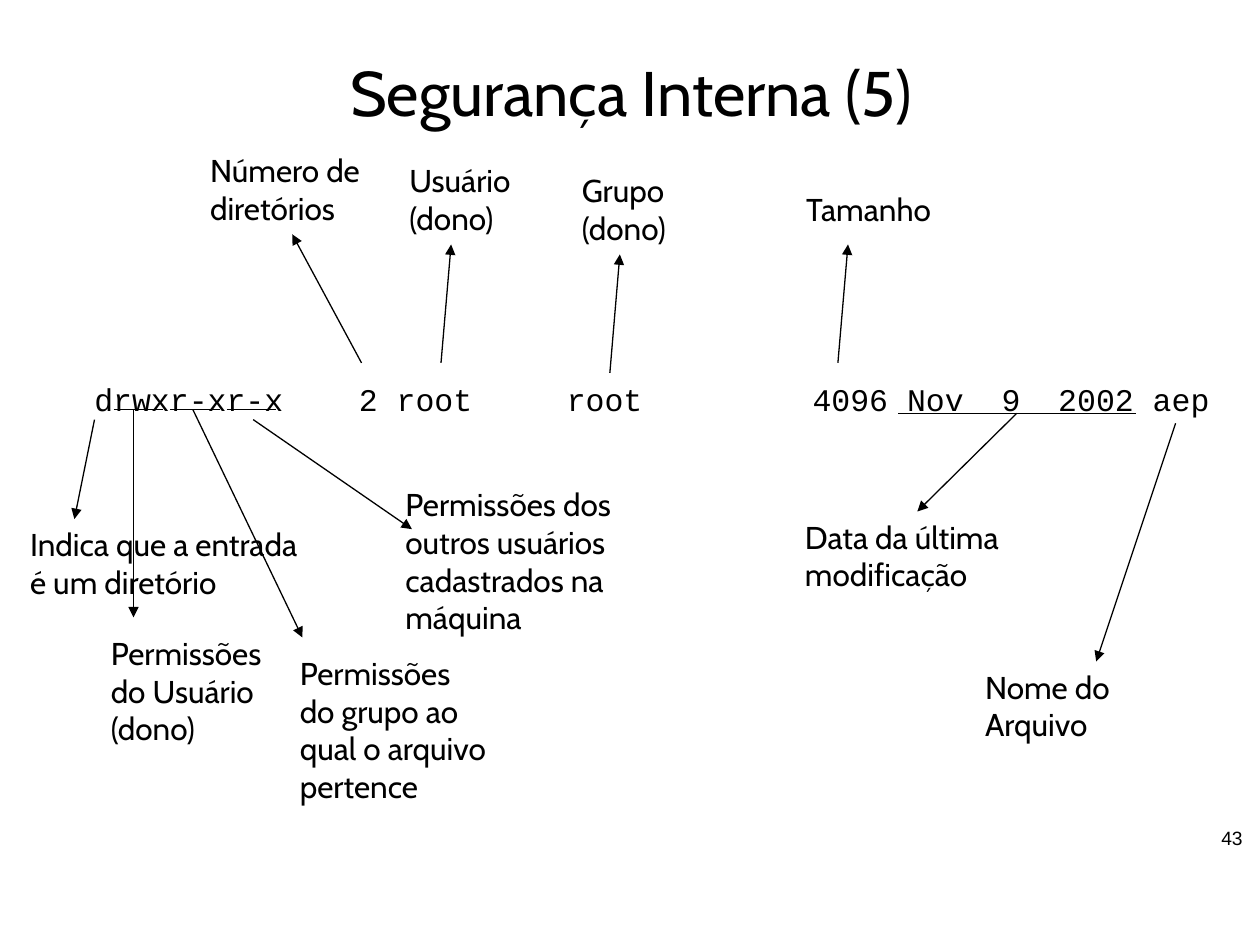
from lxml.etree import SubElement
from pptx import Presentation
from pptx.dml.color import RGBColor
from pptx.enum.shapes import MSO_CONNECTOR as CONN
from pptx.enum.text import MSO_ANCHOR as ANCHOR, PP_ALIGN as ALIGN
from pptx.oxml.ns import qn
from pptx.util import Pt

BLACK = RGBColor(0, 0, 0)
WHITE = RGBColor(255, 255, 255)


def write(s, box, lines, size, font="Cabin", **fmt):
    """Place a text shape and fill it with one paragraph per line."""
    s.left, s.top, s.width, s.height = [Pt(v) for v in box]
    tf = s.text_frame
    frame = dict(margin_left=Pt(7.2), margin_right=Pt(7.2), margin_top=Pt(3.6),
                 margin_bottom=Pt(3.6), word_wrap=True)
    for name, value in frame.items():
        setattr(tf, name, value)
    tf.text = "\n".join(lines)
    for p in tf.paragraphs:
        for name, value in fmt.items():
            setattr(p, name, value)
        for r in p.runs:
            r.font.name, r.font.size = font, Pt(size)
            r.font.color.rgb = BLACK
    return tf


def draw_line(x1, y1, x2, y2, arrow=False):
    s = slide.shapes.add_connector(CONN.STRAIGHT, Pt(x1), Pt(y1), Pt(x2), Pt(y2))
    s.line.color.rgb, s.line.width = BLACK, Pt(0.75)
    if arrow:
        SubElement(s.line._get_or_add_ln(), qn("a:tailEnd"), type="triangle")
    SubElement(s._element.spPr, qn("a:effectLst"))


prs = Presentation()
prs.slide_width, prs.slide_height = Pt(720), Pt(540)
slide = prs.slides.add_slide(prs.slide_layouts[5])
slide.background.fill.solid()
slide.background.fill.fore_color.rgb = WHITE

# Title
tf = write(slide.shapes.title, (36.7, 31.7, 648, 45.4), ["Segurança Interna (5)"], 36,
           alignment=ALIGN.CENTER, line_spacing=0.96)
tf.vertical_anchor = ANCHOR.MIDDLE

# Directory listing line
s = slide.shapes.add_textbox(0, 0, 0, 0)
tf = write(s, (46.8, 213.1, 662, 39.6),
           ["drwxr-xr-x    2 root     root         4096 Nov  9  2002 aep"],
           18, "Courier New", line_spacing=0.8)
tf.margin_top = Pt(8.1)

# Underlines: three permission groups and the date
for i in range(3):
    x = 65 + 32.3 * i
    draw_line(x, 234, x + 28.4, 234)
draw_line(513.4, 236.2, 649.4, 236.2)

# Labels (left, top, width, lines), each with the arrow that leads to it
labels = [
    (10.1, 296.6, 193.7, ["Indica que a entrada", "é um diretório"],
     (54, 239.8, 42.5, 296.6)),
    (56.2, 358.6, 115.9, ["Permissões", "do Usuário", "(dono)"],
     (76.3, 234, 76.3, 352.8)),
    (164.2, 370.1, 140.4, ["Permissões", "do grupo ao", "qual o arquivo", "pertence"],
     (110.2, 234, 172.8, 364.3)),
    (224.6, 273.6, 146.9,
     ["Permissões dos", "outros usuários", "cadastrados na", "máquina"],
     (144.7, 239.8, 235.4, 302.4)),
    (113, 82.8, 115.2, ["Número de", "diretórios"], (206.6, 207.4, 167, 133.9)),
    (226.8, 88.6, 79.9, ["Usuário", "(dono)"], (252, 207.4, 257.8, 139.7)),
    (325.4, 94.3, 69.1, ["Grupo", "(dono)"], (348.5, 213.1, 354.2, 145.4)),
    (453.6, 105.1, 94.3, ["Tamanho"], (478.8, 207.4, 484.6, 139.7)),
    (452.9, 292.3, 138.2, ["Data da última", "modificação"],
     (581, 236.2, 524.2, 292.3)),
    (555.8, 378, 97.2, ["Nome do", "Arquivo"], (671.8, 241.9, 626.4, 378)),
]
for left, top, width, lines, arrow in labels:
    s = slide.shapes.add_textbox(0, 0, 0, 0)
    tf = write(s, (left, top, width, 7.2 + 21.6 * len(lines)), lines, 18)
    tf.word_wrap = False
    draw_line(*arrow, arrow=True)

# Slide number
s = slide.shapes.add_textbox(0, 0, 0, 0)
write(s, (549.4, 468.7, 167.8, 31.7), ["43"], 11, "Arial", alignment=ALIGN.RIGHT)

prs.save("out.pptx")
